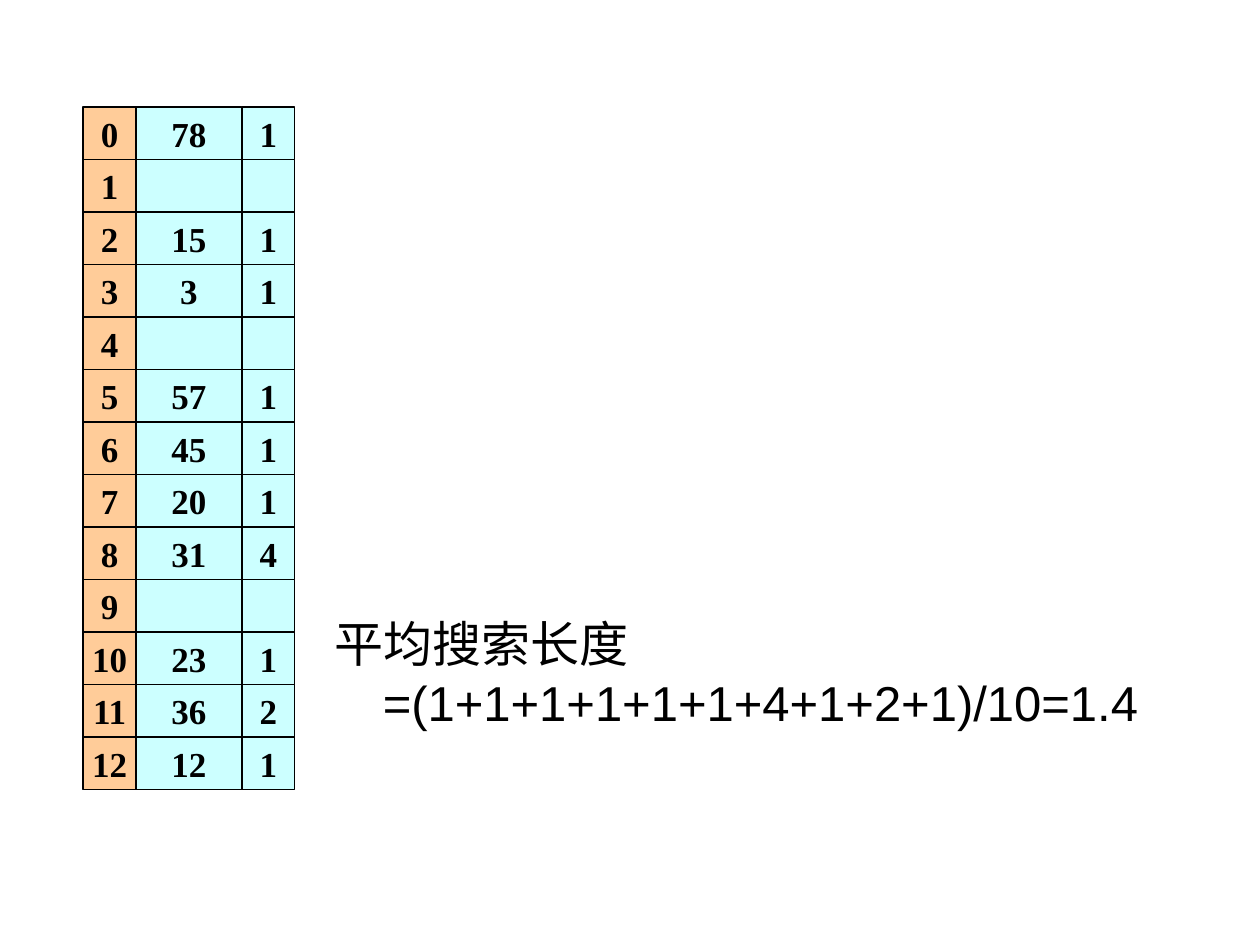
from dataclasses import dataclass
from typing import Optional

import pptx
import pptx.dml.color
import pptx.enum.shapes
import pptx.enum.text
import pptx.util

Inches, Pt = pptx.util.Inches, pptx.util.Pt
RGB = pptx.dml.color.RGBColor


@dataclass(frozen=True)
class Theme:
    ink: RGB = RGB.from_string("000000")
    index_fill: RGB = RGB.from_string("FFCC99")
    data_fill: RGB = RGB.from_string("CCFFFF")
    cell_font: str = "Times New Roman"
    body_font: str = "Arial"
    cell_size: int = 20
    body_size: int = 28
    line_width: float = 0.75


@dataclass(frozen=True)
class Grid:
    left: float = 0.66
    top: float = 0.85
    col: float = 0.42
    row: float = 5 / 12


@dataclass(frozen=True)
class Slot:
    index: int
    key: Optional[int] = None
    probes: Optional[int] = None


THEME = Theme()
GRID = Grid()
KEYS = {0: (78, 1), 2: (15, 1), 3: (3, 1), 5: (57, 1), 6: (45, 1), 7: (20, 1),
        8: (31, 4), 10: (23, 1), 11: (36, 2), 12: (12, 1)}
SLOTS = [Slot(i, *KEYS.get(i, ())) for i in range(13)]


def style_run(r, font: str, size: float, bold: bool = False) -> None:
    r.font.name = font
    r.font.size = Pt(size)
    r.font.bold = bold
    r.font.color.rgb = THEME.ink


def draw_cell(group, col: int, row: int, span: int, value: Optional[int], fill: RGB) -> None:
    """Draw one bordered cell, placed in grid columns and rows."""
    sp = group.shapes.add_shape(
        pptx.enum.shapes.MSO_SHAPE.RECTANGLE,
        Inches(GRID.left + col * GRID.col), Inches(GRID.top + row * GRID.row),
        Inches(span * GRID.col), Inches(GRID.row))
    sp.shadow.inherit = False
    sp.fill.solid()
    sp.fill.fore_color.rgb = fill
    sp.line.color.rgb = THEME.ink
    sp.line.width = Pt(THEME.line_width)
    if value is None:
        return
    tf = sp.text_frame
    tf.word_wrap = False
    tf.vertical_anchor = pptx.enum.text.MSO_ANCHOR.MIDDLE
    tf.text = str(value)
    p = tf.paragraphs[0]
    p.alignment = pptx.enum.text.PP_ALIGN.CENTER
    style_run(p.runs[0], THEME.cell_font, THEME.cell_size, bold=True)


def draw_formula(s, text: str) -> None:
    """Draw the average search length with a hanging indent."""
    sp = s.shapes.add_textbox(Inches(2.56), Inches(4.82), Inches(6.93), Inches(1.49))
    tf = sp.text_frame
    tf.word_wrap = True
    tf.text = text
    p = tf.paragraphs[0]
    ppr = p._p.get_or_add_pPr()
    ppr.set("marL", str(Inches(0.38)))
    ppr.set("indent", str(-Inches(0.38)))
    style_run(p.runs[0], THEME.body_font, THEME.body_size)


def main() -> None:
    prs = pptx.Presentation()
    prs.slide_width, prs.slide_height = Inches(10), Inches(7.5)
    s = prs.slides.add_slide(prs.slide_layouts[6])

    # Hash table: index and key columns, then the probe counts
    table = s.shapes.add_group_shape()
    counts = s.shapes.add_group_shape()
    for slot in SLOTS:
        draw_cell(table, 1, slot.index, 2, slot.key, THEME.data_fill)
        draw_cell(table, 0, slot.index, 1, slot.index, THEME.index_fill)
        draw_cell(counts, 3, slot.index, 1, slot.probes, THEME.data_fill)

    # Average search length
    draw_formula(s, "平均搜索长度=(1+1+1+1+1+1+4+1+2+1)/10=1.4")

    prs.save("out.pptx")


if __name__ == "__main__":
    main()
